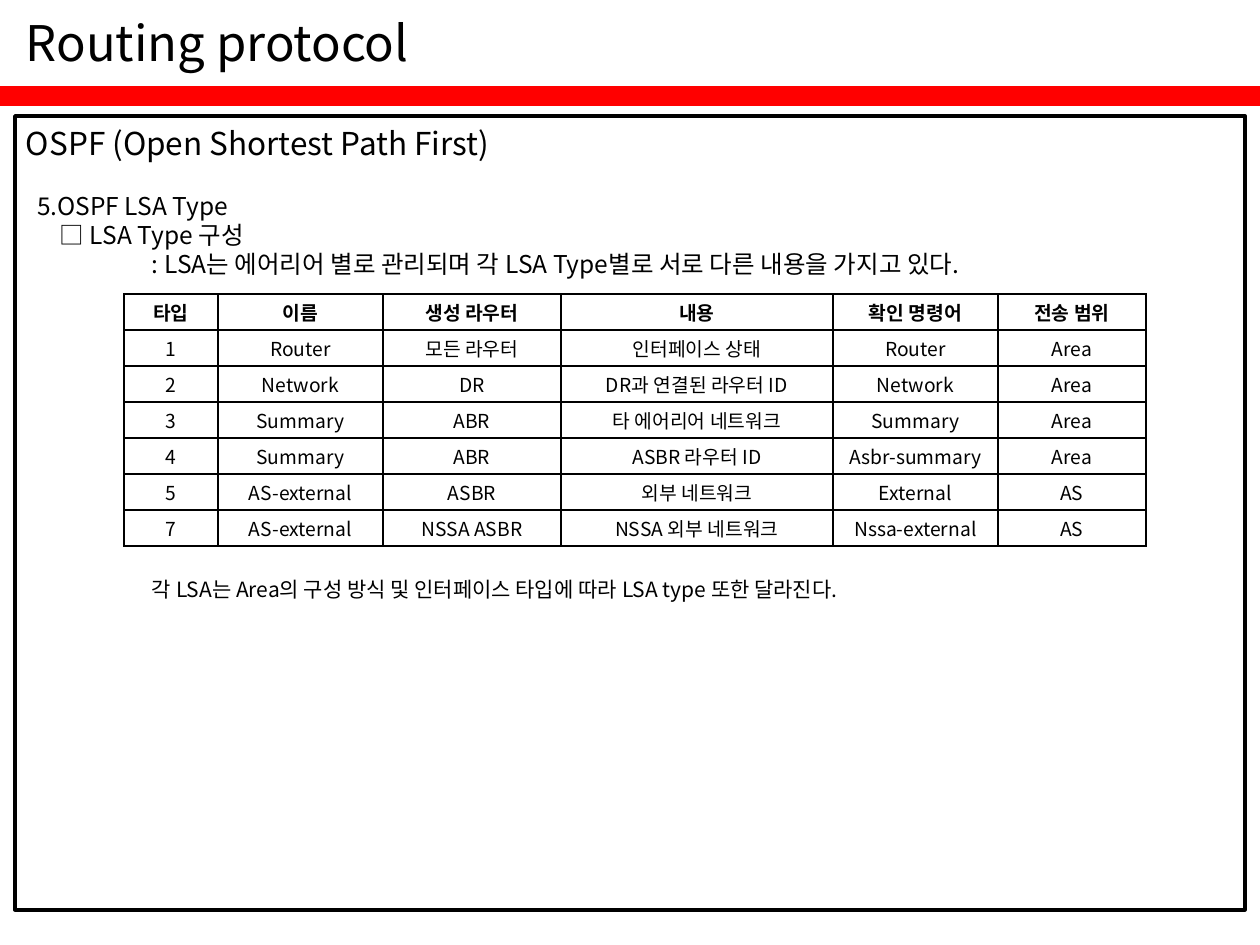
from lxml.etree import SubElement
from pptx import Presentation
from pptx.dml.color import RGBColor
from pptx.enum.shapes import MSO_SHAPE
from pptx.enum.text import MSO_ANCHOR, PP_ALIGN
from pptx.oxml import parse_xml
from pptx.oxml.ns import nsdecls, qn
from pptx.util import Emu, Pt

TABLE_ROWS = [
    ("타입", "이름", "생성 라우터", "내용", "확인 명령어", "전송 범위"),
    ("1", "Router", "모든 라우터", "인터페이스 상태", "Router", "Area"),
    ("2", "Network", "DR", "DR과 연결된 라우터 ID", "Network", "Area"),
    ("3", "Summary", "ABR", "타 에어리어 네트워크", "Summary", "Area"),
    ("4", "Summary", "ABR", "ASBR 라우터 ID", "Asbr-summary", "Area"),
    ("5", "AS-external", "ASBR", "외부 네트워크", "External", "AS"),
    ("7", "AS-external", "NSSA ASBR", "NSSA 외부 네트워크", "Nssa-external", "AS"),
]
COLUMN_WIDTHS = [94, 165, 178, 272, 165, 148]
ROW_HEIGHT = 36

BODY_LINES = [
    ("OSPF (Open Shortest Path First)", 18, 0, 0, 40),
    ("5.OSPF LSA Type", 14, 11, 29, 29),
    ("□ LSA Type 구성", 14, 34, 0, 29),
    (": LSA는 에어리어 별로 관리되며 각 LSA Type별로 서로 다른 내용을 가지고 있다.", 14, 126, 0, 29),
    ("각 LSA는 Area의 구성 방식 및 인터페이스 타입에 따라 LSA type 또한 달라진다.", 12, 126, 299, 25),
]


def px(length):
    """Turn pixels at 126 to the inch into EMU."""
    return Emu(round(length * 914400 / 126))


def color(value):
    """Turn a hex string into a colour."""
    return RGBColor.from_string(value)


class SlideBuilder:
    """Hold the style and the current slide."""

    font_name = "Noto Sans CJK KR"
    ink = "000000"
    paper = "FFFFFF"
    accent = "FF0000"

    def __init__(self, slide):
        """Start on the given slide."""
        self.slide = slide

    def format_paragraph(self, paragraph, size, bold=False):
        """Give every run the shared font."""
        for run in paragraph.runs:
            font = run.font
            font.name = self.font_name
            font.size = Pt(size)
            font.bold = bold
            font.color.rgb = color(self.ink)
            east_asian = SubElement(font._element, qn("a:ea"))
            east_asian.set("typeface", self.font_name)

    def set_frame(self, text_frame, margin_top, anchor):
        """Set wrapping, insets and anchor of a text frame."""
        text_frame.word_wrap = True
        text_frame.margin_left = text_frame.margin_right = px(11)
        text_frame.margin_top = text_frame.margin_bottom = px(margin_top)
        text_frame.vertical_anchor = anchor

    def title(self, text, left, top, width, height):
        """Place and format the title placeholder."""
        shape = self.slide.shapes.title
        shape.left, shape.top = px(left), px(top)
        shape.width, shape.height = px(width), px(height)
        shape.text_frame.text = text
        self.set_frame(shape.text_frame, 0, MSO_ANCHOR.MIDDLE)
        paragraph = shape.text_frame.paragraphs[0]
        paragraph.alignment = PP_ALIGN.LEFT
        self.format_paragraph(paragraph, 28)

    def rectangle(self, left, top, width, height, fill=None, line_width=0):
        """Add a filled or outlined rectangle."""
        shape = self.slide.shapes.add_shape(
            MSO_SHAPE.RECTANGLE, px(left), px(top), px(width), px(height))
        shape.shadow.inherit = False
        if fill:
            shape.fill.solid()
            shape.fill.fore_color.rgb = color(fill)
        else:
            shape.fill.background()
        if line_width:
            shape.line.color.rgb = color(self.ink)
            shape.line.width = Pt(line_width)
        else:
            shape.line.fill.background()

    def body(self, lines, left, top, width, height):
        """Add text lines of (text, size, indent, space before, line height)."""
        shape = self.slide.shapes.add_textbox(px(left), px(top), px(width), px(height))
        text_frame = shape.text_frame
        self.set_frame(text_frame, 6, MSO_ANCHOR.TOP)
        text_frame.text = "\n".join(line[0] for line in lines)
        for paragraph, line in zip(text_frame.paragraphs, lines):
            _, size, indent, space_before, line_height = line
            paragraph.space_before = px(space_before)
            paragraph.line_spacing = px(line_height)
            paragraph._p.get_or_add_pPr().set("marL", str(px(indent)))
            self.format_paragraph(paragraph, size)

    def borders(self, cell):
        """Draw a one-point line on each side of a cell."""
        properties = cell._tc.get_or_add_tcPr()
        for side in ("lnL", "lnR", "lnT", "lnB"):
            properties.append(parse_xml(
                f'<a:{side} {nsdecls("a")} w="{Pt(1)}"><a:solidFill>'
                f'<a:srgbClr val="{self.ink}"/></a:solidFill></a:{side}>'))

    def table(self, rows, column_widths, row_height, left, top):
        """Add a bordered table with a bold first row."""
        table = self.slide.shapes.add_table(
            len(rows), len(column_widths), px(left), px(top),
            px(sum(column_widths)), px(row_height * len(rows))).table
        table.first_row = table.horz_banding = False
        for column, width in zip(table.columns, column_widths):
            column.width = px(width)
        for row_index, values in enumerate(rows):
            table.rows[row_index].height = px(row_height)
            for column_index, value in enumerate(values):
                cell = table.cell(row_index, column_index)
                cell.text_frame.text = value
                cell.vertical_anchor = MSO_ANCHOR.MIDDLE
                cell.margin_top = cell.margin_bottom = px(3)
                cell.margin_left = cell.margin_right = px(6)
                self.borders(cell)
                cell.fill.solid()
                cell.fill.fore_color.rgb = color(self.paper)
                paragraph = cell.text_frame.paragraphs[0]
                paragraph.alignment = PP_ALIGN.CENTER
                self.format_paragraph(paragraph, 11, bold=row_index == 0)


def main():
    """Build and save the presentation."""
    presentation = Presentation()
    presentation.slide_width, presentation.slide_height = px(1260), px(945)
    builder = SlideBuilder(presentation.slides.add_slide(presentation.slide_layouts[5]))
    builder.rectangle(0, 86, 1260, 20, fill=builder.accent)
    builder.rectangle(15, 116, 1230, 794, line_width=2)
    builder.title("Routing protocol", 15, 6, 1221, 72)
    builder.body(BODY_LINES, 15, 116, 1230, 522)
    builder.table(TABLE_ROWS, COLUMN_WIDTHS, ROW_HEIGHT, 124, 294)
    presentation.save("out.pptx")


if __name__ == "__main__":
    main()
